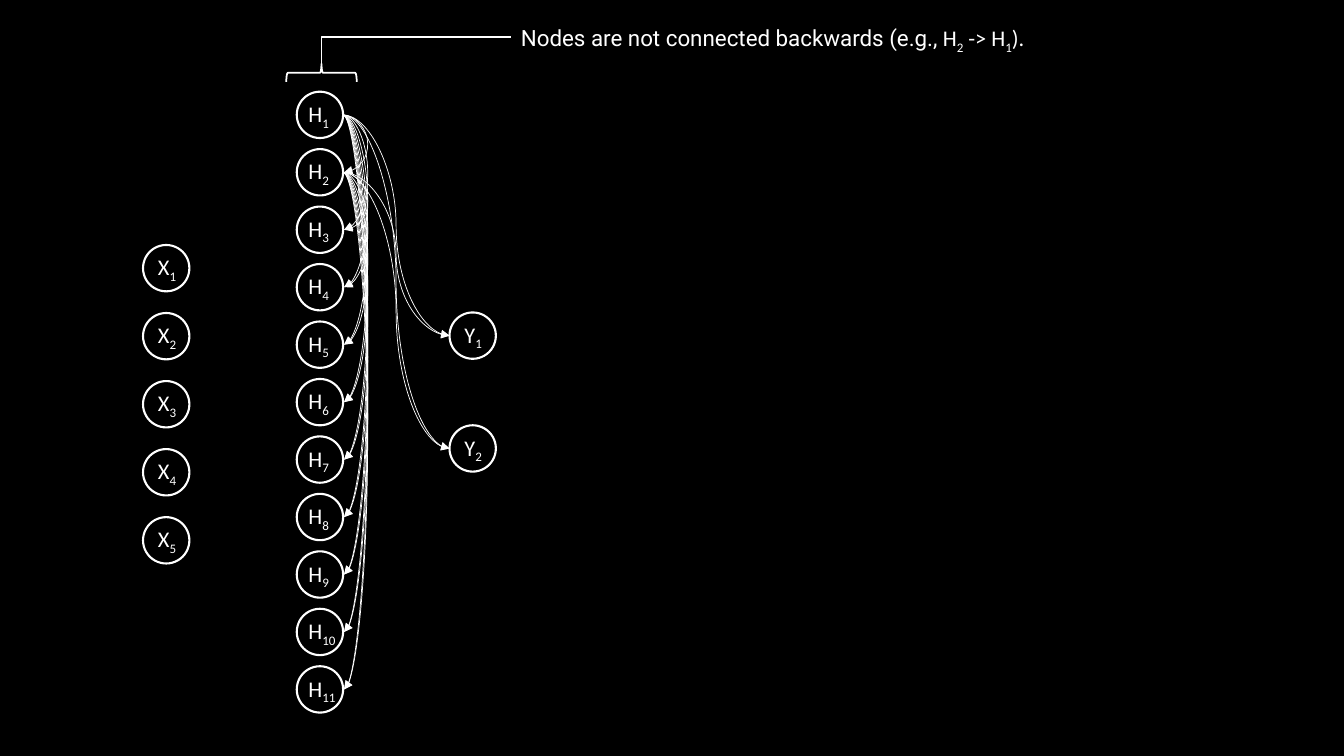
from pptx import Presentation
from pptx.dml.color import RGBColor
from pptx.enum.shapes import MSO_CONNECTOR as Link, MSO_SHAPE as Shape
from pptx.enum.text import MSO_AUTO_SIZE as Fit
from pptx.oxml.ns import qn
from pptx.util import Pt
from lxml.etree import SubElement as sub

WHITE = RGBColor(0xFF, 0xFF, 0xFF)
BLACK = RGBColor(0, 0, 0)
SIZE = 33.1  # node diameter
HIDDEN = 11


def paint(line, width):
    line.color.rgb = WHITE
    line.width = Pt(width)


def outline(slide, kind, left, top, width, height, weight):
    shape = slide.shapes.add_shape(kind, Pt(left), Pt(top), Pt(width), Pt(height))
    shape.shadow.inherit = False
    shape.fill.background()
    paint(shape.line, weight)
    return shape


def label(slide, left, top, width, parts, font="Calibri"):
    """Add a text line; parts are (text, font or None, is subscript)."""
    box = slide.shapes.add_textbox(Pt(left), Pt(top), Pt(width), Pt(26.6))
    frame = box.text_frame
    frame.word_wrap = True
    frame.auto_size = Fit.SHAPE_TO_FIT_TEXT
    para = frame.paragraphs[0]
    para.font.size = Pt(16)
    para.font.name = font
    para.font.color.rgb = WHITE
    for text, face, low in parts:
        run = para.add_run()
        run.text = text
        if face:
            run.font.name = face
        if low:
            run._r.get_or_add_rPr().set("baseline", "-25000")


def link(slide, kind, start, end, weight, bend, arrow=False):
    """Join two points; bend is the turn's place as a share of the width."""
    line = slide.shapes.add_connector(kind, *(Pt(v) for v in (*start, *end)))
    paint(line.line, weight)
    props = line._element.spPr
    guides = props.find(qn("a:prstGeom")).find(qn("a:avLst"))
    sub(guides, qn("a:gd"), name="adj1", fmla=f"val {round(bend * 100000)}")
    if arrow:
        sub(line.line._get_or_add_ln(), qn("a:tailEnd"), type="triangle")
    sub(props, qn("a:effectLst"))


def layer(slide, letter, count, left, top, step, shift):
    """Add a column of nodes and return the height of each node's centre."""
    tops = [top + step * i for i in range(count)]
    for num, y in enumerate(tops, 1):
        outline(slide, Shape.OVAL, left, y, SIZE, SIZE, 1.5)
        parts = [(letter, None, False), (str(num), None, True)]
        label(slide, left + shift, y + 2.5, 41, parts)
    return [y + SIZE / 2 for y in tops]


def main():
    deck = Presentation()
    deck.slide_width, deck.slide_height = Pt(960), Pt(540)
    slide = deck.slides.add_slide(deck.slide_layouts[6])
    fill = slide.background.fill
    fill.solid()
    fill.fore_color.rgb = BLACK

    layer(slide, "X", 5, 102.2, 175, 48.6, 3.6)
    hidden = layer(slide, "H", HIDDEN, 212, 65.5, 41.04, 1.2)
    output = layer(slide, "Y", 2, 321.1, 223.2, 80.6, 3.6)

    right = 244.8
    for i, y in enumerate(hidden[:2]):
        for goal in hidden[i + 1:]:
            link(slide, Link.CURVE, (right, y), (right + 1, goal), 0.5, 18, True)
        for goal in output:
            link(slide, Link.CURVE, (right, y), (321.1, goal), 0.5, 0.5, True)

    brace = outline(slide, Shape.RIGHT_BRACE, 223.2, 26.8, 13, 50.4, 1.25)
    brace.rotation = 270
    link(slide, Link.ELBOW, (229.7, 45.4), (365, 26.6), 1, 0)
    label(slide, 365, 13.7, 497.5, [
        ("Nodes are not connected backwards (e.g.,", None, False),
        (" H", "Calibri", False), ("2", "Calibri", True),
        (" -> H", "Calibri", False), ("1", "Calibri", True),
        (").", "Calibri", False),
    ], "Roboto")
    deck.save("out.pptx")


if __name__ == "__main__":
    main()
